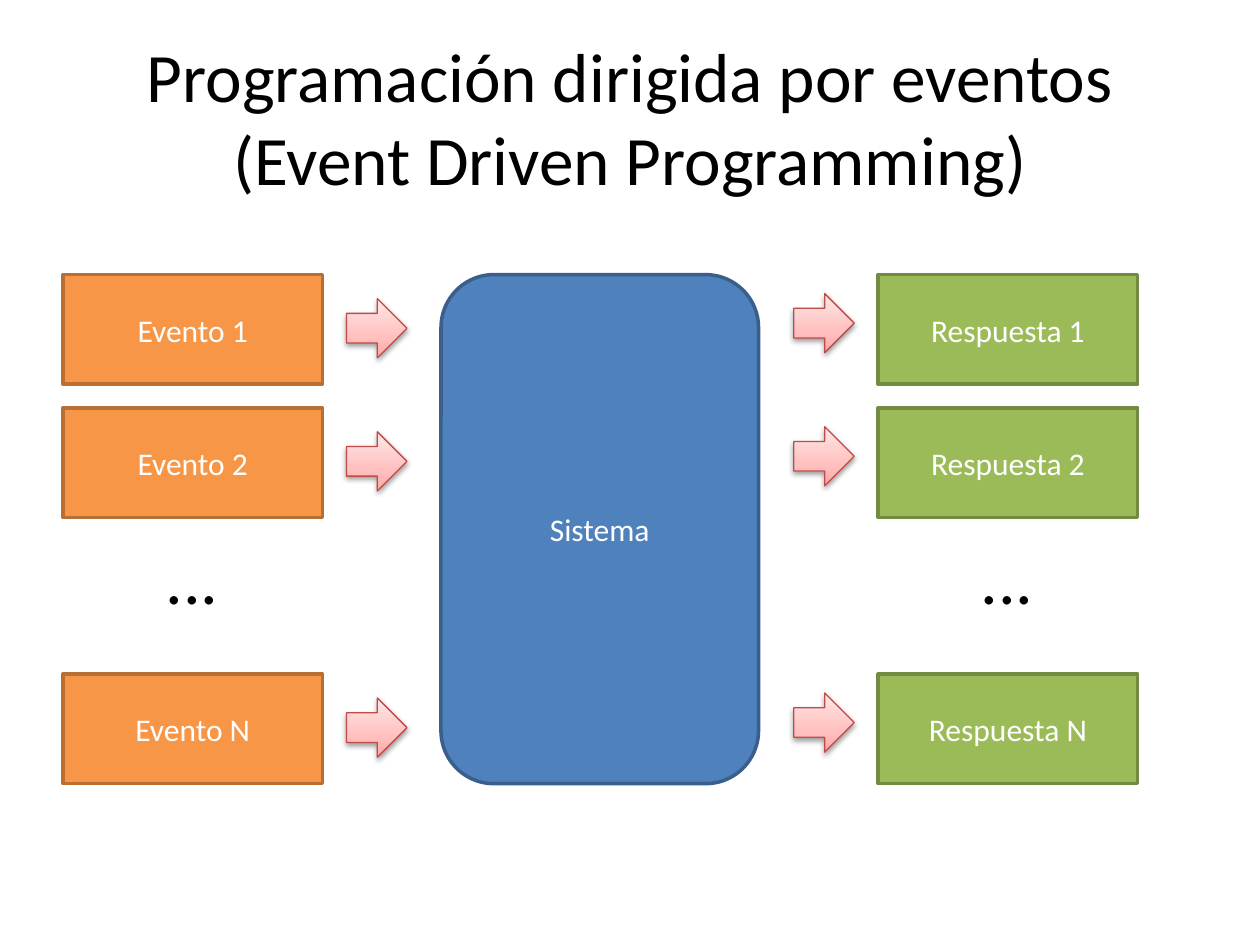
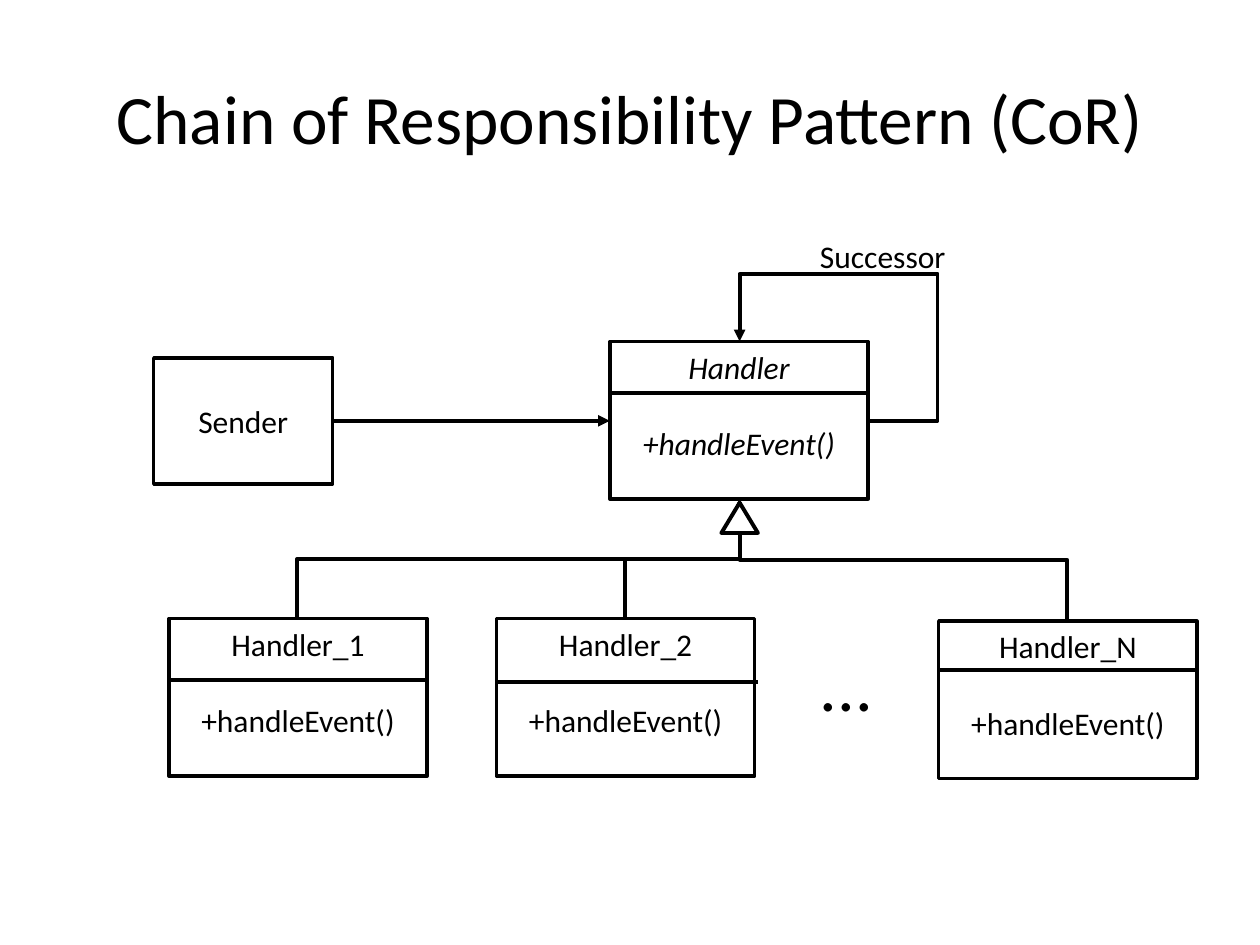
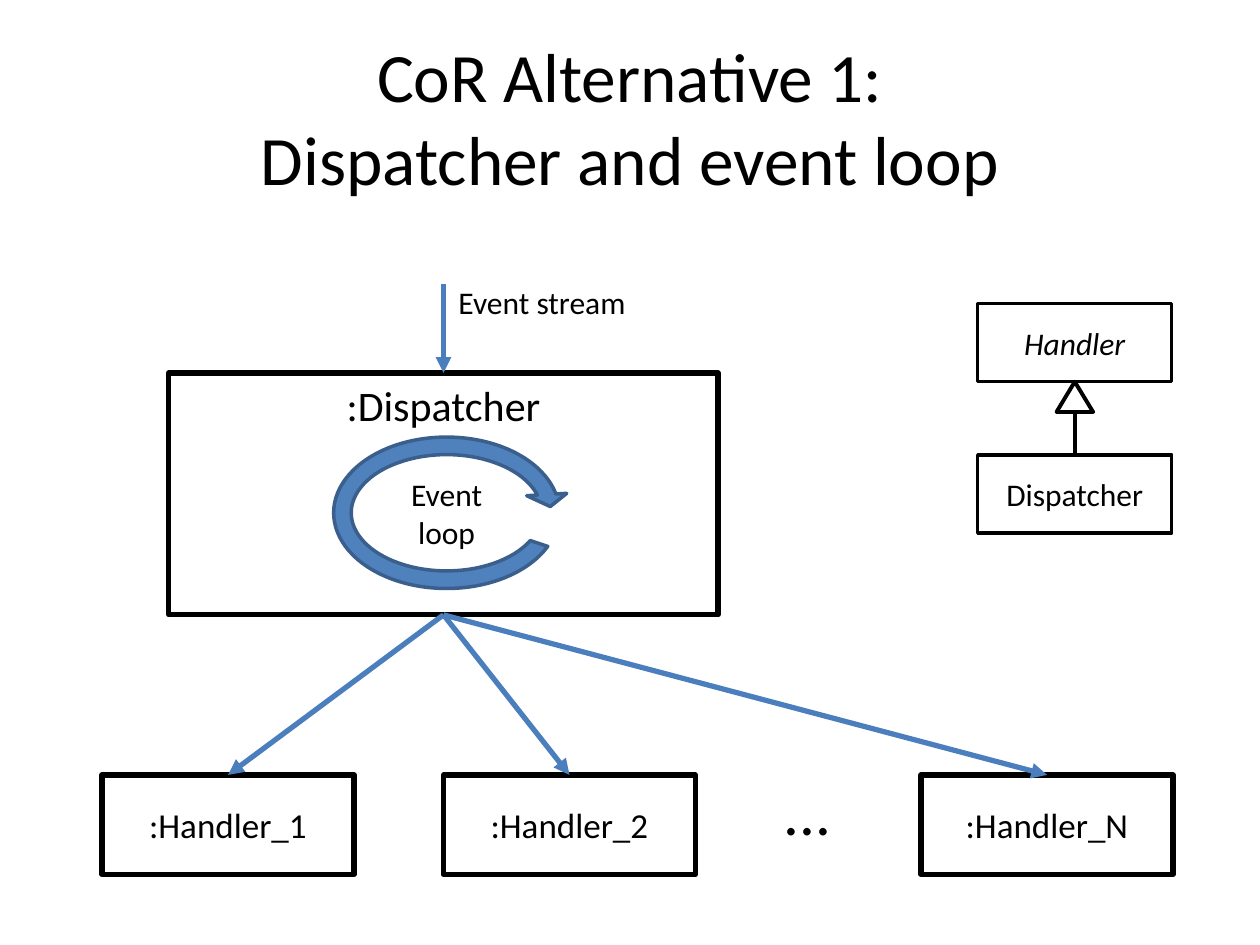
import dataclasses

import lxml.etree
import pptx
import pptx.dml.color
import pptx.enum.shapes
import pptx.enum.text
import pptx.oxml.ns
import pptx.util

SHAPE = pptx.enum.shapes.MSO_SHAPE
CONNECTOR = pptx.enum.shapes.MSO_CONNECTOR
ALIGN = pptx.enum.text.PP_ALIGN
ANCHOR = pptx.enum.text.MSO_ANCHOR
FIT = pptx.enum.text.MSO_AUTO_SIZE


@dataclasses.dataclass(frozen=True)
class Theme:
    """Colours, type sizes and line widths of the deck."""
    font: str = "Calibri"
    black: str = "000000"
    white: str = "FFFFFF"
    blue: tuple = ("4F81BD", "3A5F8C")
    orange: tuple = ("F79646", "B76F34")
    green: tuple = ("9BBB59", "738A42")
    outline: tuple = ("FFFFFF", "000000")
    arrow_stops: tuple = ((0, "FFA6A5"), (35, "FFC0BF"), (100, "FFE7E7"))
    arrow_line: str = "BF4C48"
    link: str = "4B7EBC"
    title: float = 39.6
    body: int = 18
    instance: int = 20
    heading: int = 24
    dots: int = 40
    small_dots: int = 36
    hair: float = 0.75
    thin: float = 2
    rule: float = 2.25
    thick: float = 3


T = Theme()


def rgb(value):
    """Return a colour from its hex value."""
    return pptx.dml.color.RGBColor.from_string(value)


def inches(*values):
    """Return the values as lengths."""
    return [pptx.util.Inches(v) for v in values]


def apply(obj, **fmt):
    """Set each format value on the object."""
    for name, value in fmt.items():
        setattr(obj, name, value)


def sub(parent, tag, **attrs):
    """Append a drawing element with its attributes."""
    return lxml.etree.SubElement(parent, pptx.oxml.ns.qn(tag),
                                 {k: str(v) for k, v in attrs.items()})


def write(p, text, size=T.body, color=T.black, align=ALIGN.CENTER, italic=False):
    """Write text into a paragraph."""
    p.text = text
    p.alignment = align
    for r in p.runs:
        apply(r.font, name=T.font, size=pptx.util.Pt(size), italic=italic)
        r.font.color.rgb = rgb(color)


def label(s, box, text, wrap=False, anchor=ANCHOR.TOP, fit=FIT.SHAPE_TO_FIT_TEXT,
          align=ALIGN.LEFT, **fmt):
    """Add a text box."""
    tf = s.shapes.add_textbox(*inches(*box)).text_frame
    apply(tf, word_wrap=wrap, auto_size=fit, vertical_anchor=anchor)
    write(tf.paragraphs[0], text, align=align, **fmt)


def stroke(line, color, width):
    """Colour a line and set its width."""
    line.color.rgb = rgb(color)
    line.width = pptx.util.Pt(width)


def shape(s, kind, box, colors=T.outline, width=T.thin, text="",
          anchor=ANCHOR.MIDDLE, **fmt):
    """Add a filled preset shape with optional text."""
    sp = s.shapes.add_shape(kind, *inches(*box))
    sp.shadow.inherit = False
    sp.fill.solid()
    sp.fill.fore_color.rgb = rgb(colors[0])
    stroke(sp.line, colors[1], width)
    if text:
        sp.text_frame.vertical_anchor = anchor
        write(sp.text_frame.paragraphs[0], text, **fmt)
    return sp


def line(s, start, end, color=T.black, width=T.rule, arrow=False,
         kind=CONNECTOR.STRAIGHT):
    """Add a connector, with an arrowhead at its end if asked."""
    c = s.shapes.add_connector(kind, *inches(*start, *end))
    stroke(c.line, color, width)
    spPr = c.element.spPr
    if arrow:
        sub(spPr.find(pptx.oxml.ns.qn("a:ln")), "a:tailEnd", type="triangle")
    sub(spPr, "a:effectLst")
    return c


def riser(s, start, end):
    """Add an elbow arrow that leaves and arrives vertically."""
    cx, cy = (start[0] + end[0]) / 2, (start[1] + end[1]) / 2
    dx, dy = (end[0] - start[0]) / 2, (end[1] - start[1]) / 2
    c = line(s, (cx + dy, cy - dx), (cx - dy, cy + dx), arrow=True,
             kind=CONNECTOR.ELBOW)
    c.element.spPr.find(pptx.oxml.ns.qn("a:xfrm")).set("rot", str(270 * 60000))


def self_loop(s, start, end, adjustments):
    """Add an elbow arrow that runs around a corner of a box."""
    c = line(s, start, end, arrow=True, kind=CONNECTOR.ELBOW)
    geom = c.element.spPr.find(pptx.oxml.ns.qn("a:prstGeom"))
    geom.set("prst", "bentConnector4")
    guides = geom.find(pptx.oxml.ns.qn("a:avLst"))
    for i, value in enumerate(adjustments, 1):
        sub(guides, "a:gd", name=f"adj{i}", fmla=f"val {round(value * 100000)}")


def block_arrow(s, x, y):
    """Add a pink gradient arrow with a soft shadow."""
    sp = s.shapes.add_shape(SHAPE.RIGHT_ARROW, *inches(x, y, 0.48, 0.47))
    sp.shadow.inherit = False
    stroke(sp.line, T.arrow_line, T.hair)
    spPr = sp.element.spPr
    grad = sub(spPr, "a:gradFill", rotWithShape=1)
    stops = sub(grad, "a:gsLst")
    for pos, color in T.arrow_stops:
        sub(sub(stops, "a:gs", pos=pos * 1000), "a:srgbClr", val=color)
    sub(grad, "a:lin", ang=270 * 60000, scaled=0)
    spPr.insert(2, grad)
    shadow = sub(spPr.find(pptx.oxml.ns.qn("a:effectLst")), "a:outerShdw",
                 blurRad=40000, dist=20000, dir=90 * 60000, rotWithShape=0)
    sub(sub(shadow, "a:srgbClr", val=T.black), "a:alpha", val=38000)


def triangle(s, cx, y):
    """Add the open triangle of an inheritance link."""
    shape(s, SHAPE.ISOSCELES_TRIANGLE, (cx - 0.145, y, 0.29, 0.24), width=T.rule)


def new_slide(prs, title):
    """Add a blank slide with its title."""
    s = prs.slides.add_slide(prs.slide_layouts[6])
    label(s, (0.5, 0.3, 9, 1.25), title, wrap=True, anchor=ANCHOR.MIDDLE,
          fit=FIT.NONE, align=ALIGN.CENTER, size=T.title)
    return s


def event_column(s, box, name, colors, arrow_dx, arrow_dy):
    """Stack the boxes 1, 2 and N with dots in the third row."""
    x, y, w, h = box
    row_h = 0.87
    pitch = (h - row_h) / 3
    for row, suffix in ((0, "1"), (1, "2"), (3, "N")):
        top = y + row * pitch
        shape(s, SHAPE.RECTANGLE, (x, top, w, row_h), colors,
              text=f"{name} {suffix}", color=T.white)
        block_arrow(s, x + arrow_dx, top + arrow_dy)
    label(s, (x + (w - 0.63) / 2, y + 2 * pitch - 0.1, 0.63, 0.77), "...", size=T.dots)


def uml_class(s, x, y, name, rule_y, rule_w=2.05, italic=False):
    """Draw a class box with its name, a rule and its method."""
    sp = shape(s, SHAPE.RECTANGLE, (x, y, 2.05, 1.25), text=name,
               anchor=ANCHOR.TOP, italic=italic)
    p = sp.text_frame.add_paragraph()
    write(p, "+handleEvent()", italic=italic)
    p.space_before = pptx.util.Pt(22)
    line(s, (x, y + rule_y), (x + rule_w, y + rule_y))


def dispatcher(s, box):
    """Draw the dispatcher with its event loop and event stream."""
    x, y, w, h = box
    cx = x + w / 2
    shape(s, SHAPE.RECTANGLE, box, width=T.thick, text=":Dispatcher",
          anchor=ANCHOR.TOP, size=T.heading)
    sp = shape(s, SHAPE.CIRCULAR_ARROW, (x + 1.22, y + 0.42, 1.97, 1.38), T.blue,
               text="Event loop")
    for i, value in enumerate((0.101, 4.135, 209.799, 11.016, 0.115)):
        sp.adjustments[i] = value
    line(s, (cx, y - 0.71), (cx, y), T.link, T.thick, arrow=True)
    label(s, (cx + 0.02, y - 0.76, 1.54, 0.4), "Event stream")


def handler_row(s, source, y):
    """Draw the handler instances and the arrows that reach them."""
    w = 2
    for x, suffix in ((0.81, "1"), (3.52, "2"), (7.31, "N")):
        shape(s, SHAPE.RECTANGLE, (x, y, w, 0.79), width=T.thick,
              text=f":Handler_{suffix}", size=T.instance)
        line(s, source, (x + w / 2, y), T.link, T.thick, arrow=True)
    label(s, (6.12, y - 0.07, 0.59, 0.71), "...", size=T.small_dots)


def inheritance(s, box):
    """Draw Dispatcher as a subclass of Handler."""
    x, y, w, h = box
    row_h, cx = 0.62, x + w / 2
    low = y + h - row_h
    shape(s, SHAPE.RECTANGLE, (x, y, w, row_h), text="Handler", italic=True)
    shape(s, SHAPE.RECTANGLE, (x, low, w, row_h), text="Dispatcher")
    line(s, (cx, low), (cx, y + row_h + 0.23))
    triangle(s, cx, y + row_h)


def event_slide(prs):
    """Build the slide on event driven programming."""
    s = new_slide(prs, "Programación dirigida por eventos\n(Event Driven Programming)")
    y, h = 2.18, 4.04
    event_column(s, (0.5, y, 2.06, h), "Evento", T.orange, 2.25, 0.19)
    shape(s, SHAPE.ROUNDED_RECTANGLE, (3.5, y, 2.52, h), T.blue, text="Sistema",
          color=T.white)
    event_column(s, (6.97, y, 2.06, h), "Respuesta", T.green, -0.67, 0.15)


def chain_slide(prs):
    """Build the class diagram of the pattern."""
    s = new_slide(prs, "Chain of Responsibility Pattern (CoR)")
    top, base = (5.87, 2.71), (5.87, 3.96)
    shape(s, SHAPE.RECTANGLE, (1.22, 2.84, 1.42, 1), text="Sender")
    uml_class(s, 4.84, 2.71, "Handler", 0.41, italic=True)
    for x, y, suffix, rule_y, rule_w in ((1.34, 4.91, "1", 0.49, 2.05),
                                         (3.94, 4.91, "2", 0.5, 2.08),
                                         (7.45, 4.93, "N", 0.39, 2.05)):
        uml_class(s, x, y, f"Handler_{suffix}", rule_y, rule_w)
        riser(s, (x + 1.02, y), base)
    triangle(s, base[0], 3.99)
    label(s, (6.41, 5.04, 0.63, 0.77), "...", size=T.dots)
    line(s, (2.64, 3.34), (4.84, 3.34), arrow=True)
    self_loop(s, (6.89, 3.34), top, (-0.54, 1.85))
    label(s, (6.41, 1.83, 2.27, 0.4), "Successor", wrap=True)


def dispatcher_slide(prs):
    """Build the slide on the dispatcher alternative."""
    s = new_slide(prs, "CoR Alternative 1:\nDispatcher and event loop")
    x, y, w, h = box = (1.34, 2.96, 4.36, 1.92)
    dispatcher(s, box)
    handler_row(s, (x + w / 2, y + h), 6.15)
    inheritance(s, (7.76, 2.41, 1.54, 1.82))


def main():
    """Build and save the deck."""
    prs = pptx.Presentation()
    prs.slide_width, prs.slide_height = inches(10, 7.5)
    for build in (event_slide, chain_slide, dispatcher_slide):
        build(prs)
    prs.save("out.pptx")


if __name__ == "__main__":
    main()
